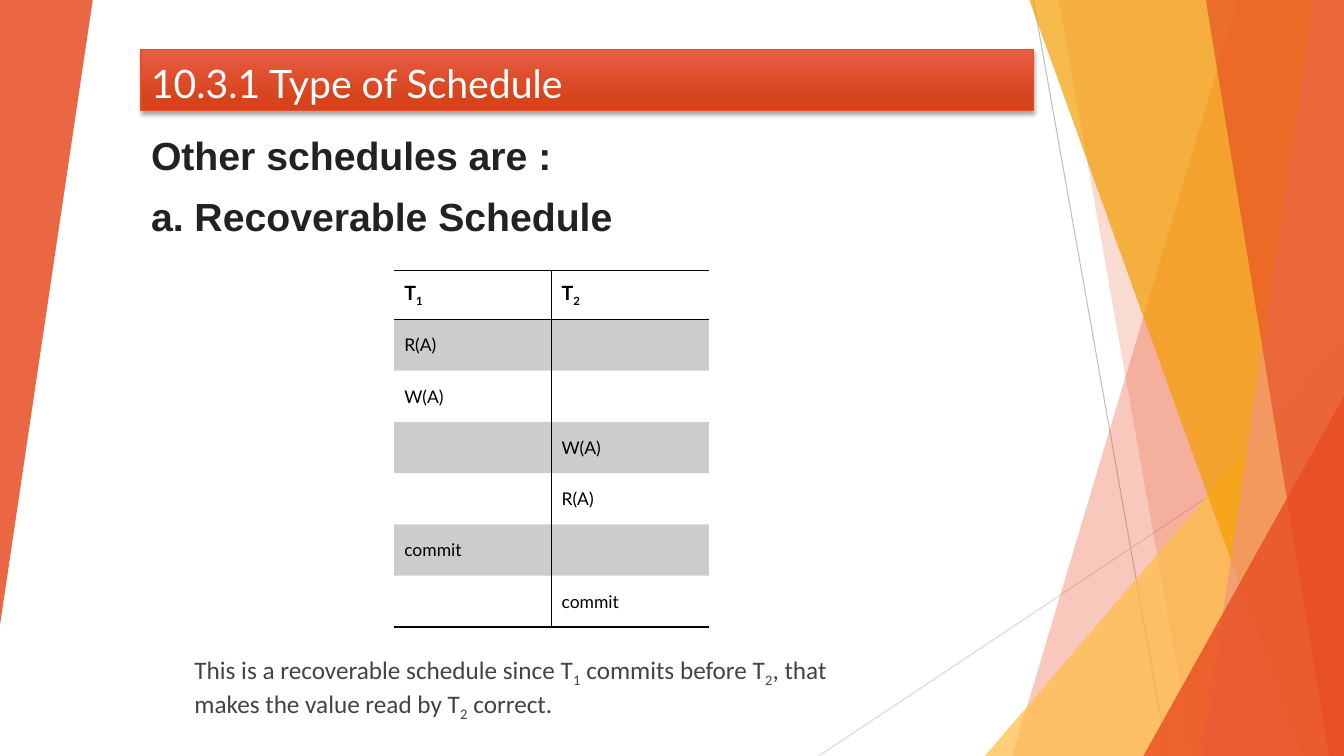
from dataclasses import dataclass

from lxml import etree
from pptx import Presentation
from pptx.dml.color import RGBColor
from pptx.enum.shapes import MSO_CONNECTOR as Connector, MSO_SHAPE as Shape
from pptx.enum.text import MSO_ANCHOR as Anchor, PP_ALIGN as Align
from pptx.oxml import parse_xml
from pptx.oxml.ns import nsdecls, qn
from pptx.util import Inches, Pt

SLIDE_WIDTH, SLIDE_HEIGHT = Inches(13.33), Inches(7.5)
ACCENT, BLACK = "E84C22", "000000"
PLAIN_TABLE = "{2D5ABB26-0587-4C30-8999-92F81FD0307C}"

TITLE = {"name": "Lato", "size": Pt(28), "color": "FFFFFF"}
HEADING = {"name": "Arial", "size": Pt(28), "bold": True, "color": "222222"}
TABLE_HEAD = {"name": "Lato", "size": Pt(14), "bold": True, "color": BLACK}
TABLE_BODY = {"name": "Lato", "size": Pt(12.5), "bold": False, "color": BLACK}
NOTE = {"name": "Calibri", "size": Pt(18), "color": "40424E"}

# A "_" marks the next character as a subscript
SCHEDULE = [("T_1", "T_2"), ("R(A)", ""), ("W(A)", ""), ("", "W(A)"),
            ("", "R(A)"), ("commit", ""), ("", "commit")]
NOTE_TEXT = ("This is a recoverable schedule since T_1 commits before T_2, "
             "that makes the value read by T_2 correct.")


@dataclass
class Box:
    left: float
    top: float
    width: float
    height: float

    def point(self, column, row):
        """A place on the 100 by 100 grid of this box."""
        return (int(self.left + self.width * column / 100),
                int(self.top + self.height * row / 100))

    def area(self, column, row, columns, rows):
        return Box(*self.point(column, row),
                   self.width * columns / 100, self.height * rows / 100)

    @property
    def frame(self):
        return [int(length) for length in (self.left, self.top, self.width, self.height)]


def color(hex_code):
    return RGBColor.from_string(hex_code)


def fill_solid(fill, hex_code, opacity=100):
    fill.solid()
    fill.fore_color.rgb = color(hex_code)
    if opacity < 100:
        value = fill._xPr.find(qn("a:solidFill"))[0]
        etree.SubElement(value, qn("a:alpha")).set("val", str(opacity * 1000))


def write(paragraph, text, style):
    for index, piece in enumerate(text.split("_")):
        chunks = [(piece[:1], True), (piece[1:], False)] if index else [(piece, False)]
        for words, subscript in chunks:
            if not words:
                continue
            run = paragraph.add_run()
            run.text = words
            for name, value in style.items():
                if name == "color":
                    run.font.color.rgb = color(value)
                else:
                    setattr(run.font, name, value)
            if subscript:
                run._r.get_or_add_rPr().set("baseline", "-25000")


def add_facet(shape, hex_code, opacity):
    shape.shadow.inherit = False
    fill_solid(shape.fill, hex_code, opacity)
    shape.line.fill.background()


def add_triangle(slide, box, hex_code, opacity, rotation=0):
    triangle = slide.shapes.add_shape(Shape.ISOSCELES_TRIANGLE, *box.frame)
    triangle.adjustments[0] = 1
    triangle.rotation = rotation
    add_facet(triangle, hex_code, opacity)


def add_band(slide, box, top_column, bottom_column, hex_code, opacity):
    """A facet from a slanted left edge to the right side of the box."""
    builder = slide.shapes.build_freeform(*box.point(top_column, 0))
    builder.add_line_segments([box.point(100, 0), box.point(100, 100),
                               box.point(bottom_column, 100)], close=True)
    add_facet(builder.convert_to_shape(), hex_code, opacity)


def add_backdrop(slide, box):
    for start, end, hex_code in [((76.89, 0), (86.87, 100), "BFBFBF"),
                                 ((100, 53.73), (60.92, 100), "D9D9D9")]:
        line = slide.shapes.add_connector(
            Connector.STRAIGHT, *box.point(*start), *box.point(*end))
        line.line.color.rgb = color(hex_code)
        line.line.width = Pt(0.75)
        etree.SubElement(line._element.spPr, qn("a:effectLst"))

    add_band(slide, box, 92.12, 75.32, ACCENT, 30)
    add_band(slide, box, 78.77, 88.75, ACCENT, 20)
    add_triangle(slide, box.area(73.29, 44.4, 26.71, 55.6), "FFBD47", 72)
    add_band(slide, box, 76.59, 96.85, "F49D00", 70)
    add_band(slide, box, 97.75, 89.42, "F1947A", 70)
    add_band(slide, box, 89.72, 98.87, ACCENT, 65)
    add_triangle(slide, box.area(85.07, 52.4, 14.93, 47.6), ACCENT, 80)
    add_triangle(slide, box.area(0, 0, 6.9, 82.67), ACCENT, 85, rotation=180)


def add_title(slide, box, text):
    bar = slide.shapes.add_shape(Shape.RECTANGLE, *box.frame)
    bar.fill.gradient()
    bar.fill.gradient_angle = 270
    for stop, (position, hex_code) in zip(bar.fill.gradient_stops,
                                          [(0, "E95D45"), (0.78, "D7441C")]):
        stop.position = position
        stop.color.rgb = color(hex_code)
    bar.line.color.rgb = color(ACCENT)
    bar.line.width = Pt(1)
    bar.shadow.inherit = False
    effects = bar._element.spPr.find(qn("a:effectLst"))
    effects.append(parse_xml(
        f'<a:outerShdw {nsdecls("a")} blurRad="{Pt(3)}" dist="{Pt(2)}" dir="5400000" '
        f'rotWithShape="0"><a:srgbClr val="{BLACK}"><a:alpha val="35000"/>'
        '</a:srgbClr></a:outerShdw>'))
    bar.text_frame.word_wrap = True
    bar.text_frame.vertical_anchor = Anchor.BOTTOM
    paragraph = bar.text_frame.paragraphs[0]
    paragraph.alignment = Align.LEFT
    write(paragraph, text, TITLE)


def add_text(slide, box, lines, style, alignment):
    frame = slide.shapes.add_textbox(*box.frame).text_frame
    frame.word_wrap = True
    for index, line in enumerate(lines):
        paragraph = frame.add_paragraph() if index else frame.paragraphs[0]
        paragraph.alignment = alignment
        paragraph.space_before = Pt(10 if index else 0)
        write(paragraph, line, style)


def set_borders(cell, sides):
    properties = cell._tc.get_or_add_tcPr()
    ordered = [side for side in "LRTB" if side in sides]
    for index, side in enumerate(ordered):
        properties.insert(index, parse_xml(
            f'<a:ln{side} {nsdecls("a")} w="{Pt(1)}"><a:solidFill>'
            f'<a:srgbClr val="{BLACK}"/></a:solidFill></a:ln{side}>'))


def add_schedule(slide, box, rows):
    table = slide.shapes.add_table(len(rows), 2, *box.frame).table
    table._tbl.tblPr.find(qn("a:tableStyleId")).text = PLAIN_TABLE
    head_height = box.height * 0.14
    body_height = (box.height - head_height) / (len(rows) - 1)
    for row_index, row in enumerate(rows):
        is_head, is_last = row_index == 0, row_index == len(rows) - 1
        table.rows[row_index].height = int(head_height if is_head else body_height)
        for column_index, text in enumerate(row):
            cell = table.cell(row_index, column_index)
            cell.vertical_anchor = Anchor.MIDDLE
            cell.margin_left = cell.margin_right = Inches(0.1)
            if text:
                cell.margin_top = cell.margin_bottom = Inches(0.1 if is_head else 0.15)
                write(cell.text_frame.paragraphs[0], text,
                      TABLE_HEAD if is_head else TABLE_BODY)
            if row_index % 2:
                fill_solid(cell.fill, BLACK, 20)
            else:
                cell.fill.background()
            set_borders(cell, "RL"[column_index] + "T" * is_head
                        + "B" * (is_head or is_last))


def main():
    presentation = Presentation()
    presentation.slide_width, presentation.slide_height = SLIDE_WIDTH, SLIDE_HEIGHT
    slide = presentation.slides.add_slide(presentation.slide_layouts[6])
    page = Box(0, 0, SLIDE_WIDTH, SLIDE_HEIGHT)

    add_backdrop(slide, page)
    add_title(slide, page.area(10.5, 6.53, 66.39, 8.13), "10.3.1 Type of Schedule")
    add_text(slide, page.area(10.5, 16.67, 66.39, 16.8),
             ["Other schedules are :", "a. Recoverable Schedule"], HEADING, Align.JUSTIFY)
    add_schedule(slide, page.area(29.33, 35.75, 23.41, 46.35), SCHEDULE)
    add_text(slide, page.area(13.73, 85.87, 50.04, 9.47), [NOTE_TEXT], NOTE, Align.LEFT)
    presentation.save("out.pptx")


if __name__ == "__main__":
    main()
